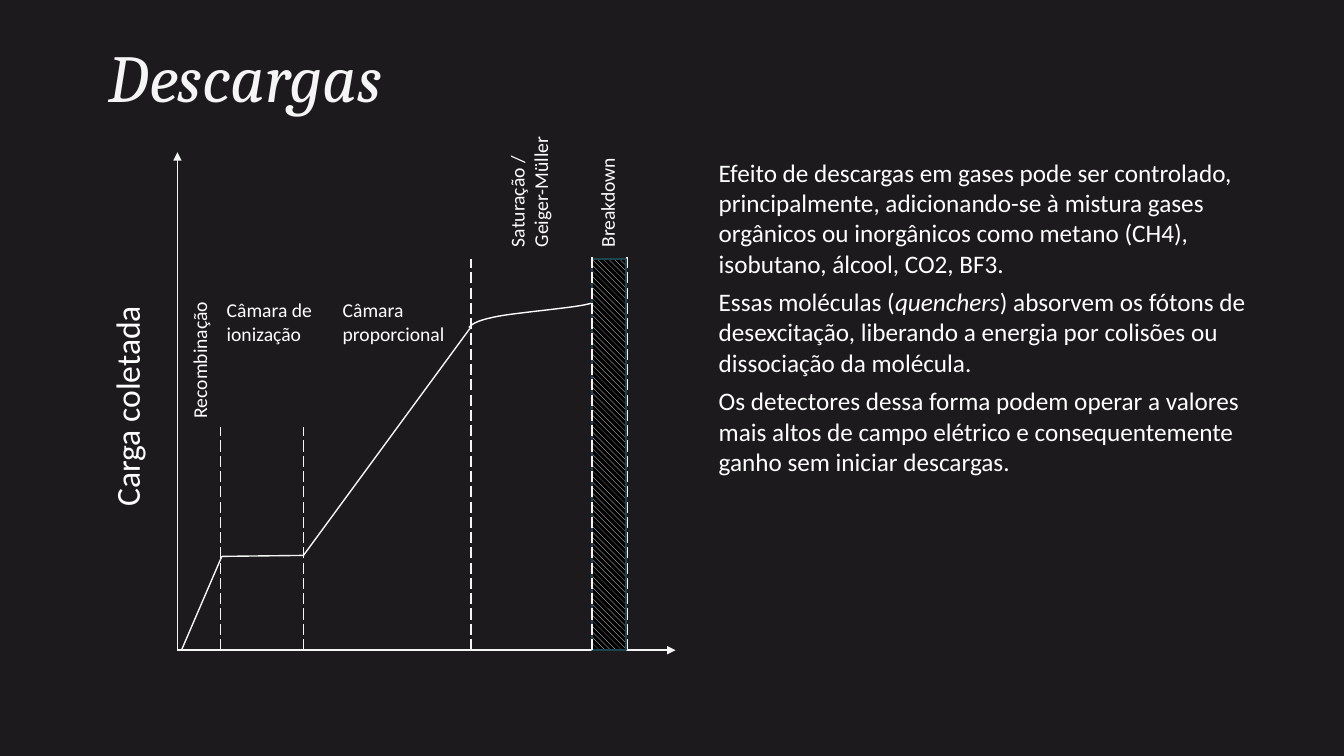
from itertools import pairwise

from lxml.etree import SubElement
from pptx import Presentation
from pptx.dml.color import RGBColor
from pptx.enum.dml import MSO_LINE, MSO_PATTERN
from pptx.enum.shapes import MSO_CONNECTOR, MSO_SHAPE
from pptx.enum.text import MSO_ANCHOR, MSO_AUTO_SIZE, PP_ALIGN
from pptx.oxml.ns import qn
from pptx.util import Inches, Pt

COLORS = {"bg": "1D1A1D", "line": "F5F5F5", "text": "FFFFFF",
          "hatch": "000000", "edge": "1D4550"}

TITLE = "Descargas"
BODY = [
    [("Efeito de descargas em gases pode ser controlado, principalmente, "
      "adicionando-se à mistura gases orgânicos ou inorgânicos como metano "
      "(CH4), isobutano, álcool, CO2, BF3.", False)],
    [("Essas moléculas (", False), ("quenchers", True),
     (") absorvem os fótons de desexcitação, liberando a energia por "
      "colisões ou dissociação da molécula.", False)],
    [("Os detectores dessa forma podem operar a valores mais altos de campo "
      "elétrico e consequentemente ganho sem iniciar descargas.", False)],
]
LABELS = [
    ("Carga coletada", (-1.65, 2.22, 2.29, 0.5), 24, 270, False),
    ("Recombinação", (-0.48, 1.87, 1.4, 0.34), 14, 270, False),
    ("Câmara de ionização", (0.39, 1.4, 1.07, 0.57), 14, 0, True),
    ("Câmara proporcional", (1.54, 1.4, 1.25, 0.57), 14, 0, True),
    ("Breakdown", (3.63, 0.24, 1.27, 0.34), 14, 270, True),
    ("Saturação / Geiger-Müller", (2.8, 0.07, 1.37, 0.57), 14, 270, True),
]
DIVIDERS = [(0.43, 2.73), (1.25, 2.73), (2.91, 1.06), (4.46, 1.04)]
BREAKDOWN = (4.11, 1.06, 0.34, 3.88)
BREAKDOWN_START = (4.11, 1.04)
RISE = [(0.04, 4.94), (0.44, 4.01), (1.25, 4), (2.9, 1.75)]
PLATEAU = [
    [(2.89, 1.74), (2.93, 1.7), (2.97, 1.67), (3.17, 1.63)],
    [(3.17, 1.63), (3.37, 1.59), (3.99, 1.54), (4.1, 1.5)],
]


def rgb(name):
    """Return the named colour."""
    return RGBColor.from_string(COLORS[name])


def add_text(p, text, size=18, font="Calibri", color="text", italic=False):
    """Add a formatted run to a paragraph."""
    r = p.add_run()
    r.text = text
    r.font.size = Pt(size)
    r.font.name = font
    r.font.italic = italic
    r.font.color.rgb = rgb(color)


def add_line(s, start, end, dashed=False, arrow=False):
    """Draw a thin line between two points."""
    c = s.shapes.add_connector(MSO_CONNECTOR.STRAIGHT,
                               *map(Inches, (*start, *end)))
    c.line.color.rgb = rgb("line")
    c.line.width = Pt(1)
    if dashed:
        c.line.dash_style = MSO_LINE.LONG_DASH
    if arrow:
        SubElement(c.line._get_or_add_ln(), qn("a:tailEnd"), type="triangle")
    SubElement(c._element.spPr, qn("a:effectLst"))


def bezier(points, t):
    """Return the point at t on a cubic curve."""
    weights = ((1 - t) ** 3, 3 * t * (1 - t) ** 2, 3 * t * t * (1 - t), t ** 3)
    return tuple(sum(w * v for w, v in zip(weights, axis))
                 for axis in zip(*points))


def add_title(s, left, top, width, height):
    """Fill the title placeholder."""
    sp = s.shapes.title
    sp.left, sp.top, sp.width, sp.height = map(
        Inches, (left, top, width, height))
    tf = sp.text_frame
    tf.auto_size = MSO_AUTO_SIZE.NONE
    tf.vertical_anchor = MSO_ANCHOR.MIDDLE
    p = tf.paragraphs[0]
    p.alignment = PP_ALIGN.LEFT
    p.line_spacing = 0.85
    add_text(p, TITLE, size=48, font="Cambria", color="line", italic=True)


def add_body(s, left, top, width, height):
    """Write the explanatory paragraphs."""
    sp = s.shapes.add_textbox(*map(Inches, (left, top, width, height)))
    tf = sp.text_frame
    tf.word_wrap = True
    for i, runs in enumerate(BODY):
        p = tf.add_paragraph() if i else tf.paragraphs[0]
        p.space_after = Pt(6)
        for text, italic in runs:
            add_text(p, text, italic=italic)


def add_diagram(s, left, top, width, height):
    """Draw the collected charge curve with its operating regions."""
    def at(x, y):
        """Shift a point into the diagram."""
        return left + x, top + y

    add_line(s, at(0, height), at(0, 0), arrow=True)
    add_line(s, at(0, height), at(width, height), arrow=True)
    for x, y in DIVIDERS:
        add_line(s, at(x, height), at(x, y), dashed=True)
    for start, end in pairwise(RISE):
        add_line(s, at(*start), at(*end))

    x, y, w, h = BREAKDOWN
    sp = s.shapes.add_shape(MSO_SHAPE.RECTANGLE,
                            *map(Inches, (*at(x, y), w, h)))
    sp.shadow.inherit = False
    sp.fill.patterned()
    sp.fill.pattern = MSO_PATTERN.WIDE_DOWNWARD_DIAGONAL
    sp.fill.fore_color.rgb = rgb("text")
    sp.fill.back_color.rgb = rgb("hatch")
    sp.line.color.rgb = rgb("edge")
    sp.line.width = Pt(1)
    x, y = BREAKDOWN_START
    add_line(s, at(x, height), at(x, y), dashed=True)

    points = [tuple(map(Inches, at(*bezier(part, i / 12))))
              for part in PLATEAU for i in range(13)]
    builder = s.shapes.build_freeform(*points[0])
    builder.add_line_segments(points[1:], close=False)
    curve = builder.convert_to_shape()
    curve.shadow.inherit = False
    curve.fill.background()
    curve.line.color.rgb = rgb("text")
    curve.line.width = Pt(1)

    for text, (x, y, w, h), size, rotation, wrap in LABELS:
        sp = s.shapes.add_textbox(*map(Inches, (*at(x, y), w, h)))
        sp.rotation = rotation
        sp.text_frame.word_wrap = wrap
        add_text(sp.text_frame.paragraphs[0], text, size=size)


def main():
    """Build and save the slide."""
    prs = Presentation()
    prs.slide_width, prs.slide_height = Inches(13.33), Inches(7.5)
    s = prs.slides.add_slide(prs.slide_layouts[5])
    s.background.fill.solid()
    s.background.fill.fore_color.rgb = rgb("bg")
    add_diagram(s, 1.76, 1.51, 4.94, 4.94)
    add_title(s, 0.98, 0.22, 11.45, 1.18)
    add_body(s, 7.03, 1.51, 5.77, 3.3)
    prs.save("out.pptx")


if __name__ == "__main__":
    main()
